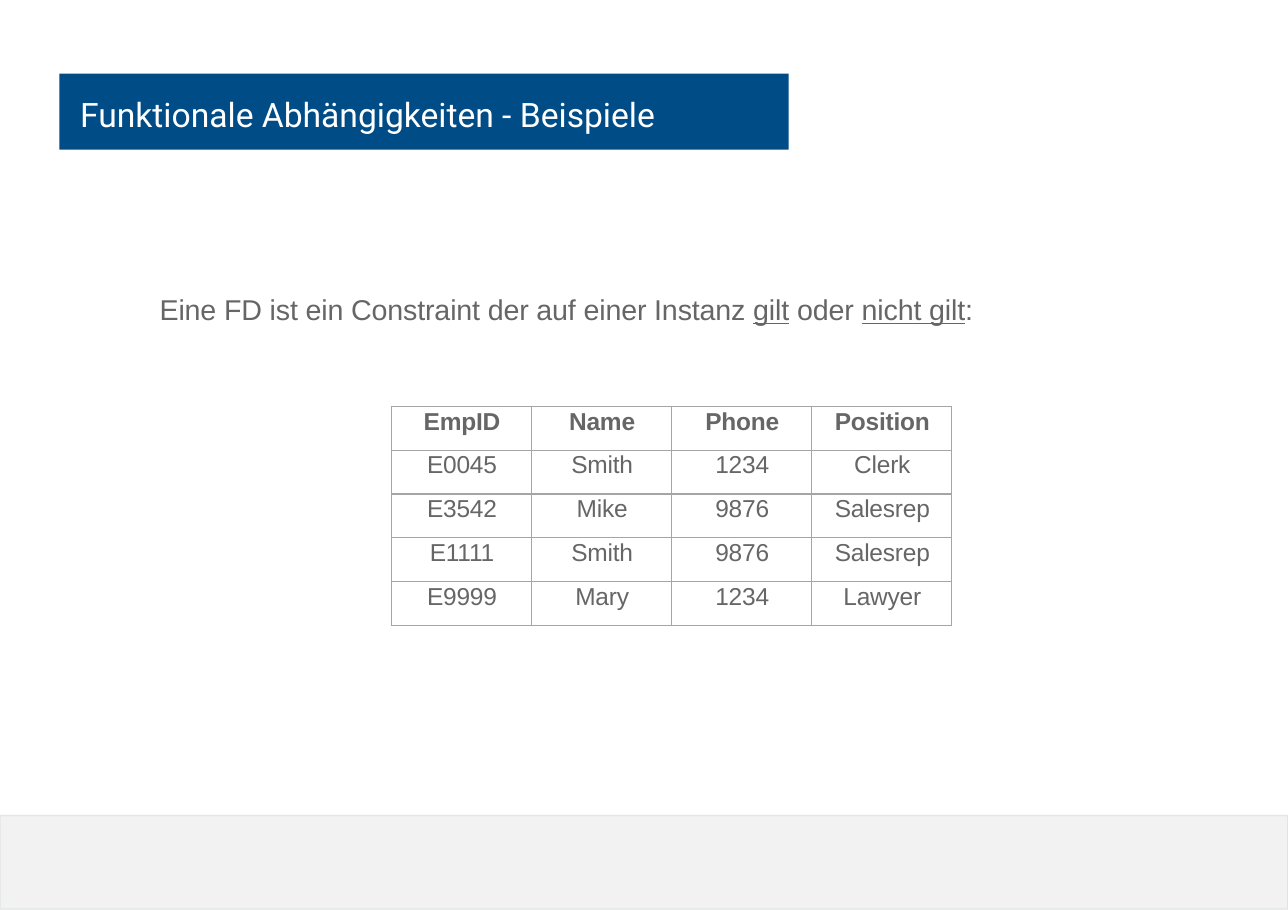
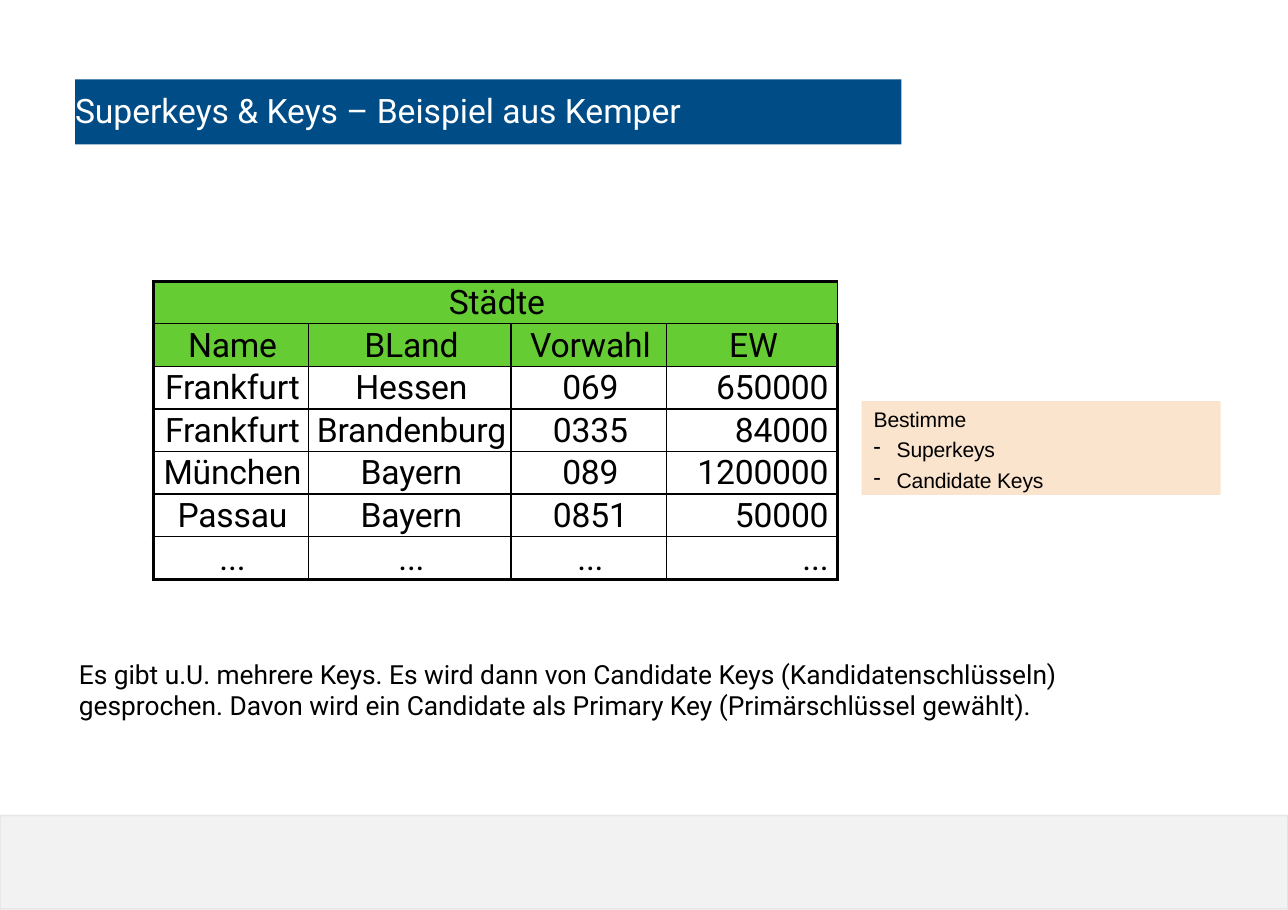
"""Two slides on functional dependencies and keys."""
from dataclasses import dataclass

from lxml import etree
from pptx import Presentation
from pptx.dml.color import RGBColor
from pptx.enum.shapes import MSO_SHAPE
from pptx.enum.text import MSO_ANCHOR, PP_ALIGN
from pptx.oxml.ns import qn
from pptx.util import Cm, Pt

RECTANGLE = MSO_SHAPE.RECTANGLE
TOP, MIDDLE = MSO_ANCHOR.TOP, MSO_ANCHOR.MIDDLE
LEFT, CENTER, RIGHT = PP_ALIGN.LEFT, PP_ALIGN.CENTER, PP_ALIGN.RIGHT


@dataclass(frozen=True)
class TextStyle:
    """Font, size, colour and tracking of a text."""
    font: str
    size: float
    color: str
    tracking: float = 0
    bold: bool = False


@dataclass(frozen=True)
class Theme:
    """Colours and text styles of the presentation."""
    width: float = 29.69
    height: float = 20.98
    title_fill: str = "004C87"
    footer_fill: str = "F2F2F2"
    footer_line: str = "889194"
    header_fill: str = "66CC33"
    task_fill: str = "FBE4CD"
    employee_border: str = "A5A5A5"
    city_border: str = "010101"
    title: TextStyle = TextStyle("Roboto", 22, "FFFFFF")
    statement: TextStyle = TextStyle("Arial", 18.7, "666666", -0.1)
    employee: TextStyle = TextStyle("Arial", 16, "666666", -0.1)
    employee_header: TextStyle = TextStyle("Arial", 16, "666666", -0.1, True)
    city: TextStyle = TextStyle("Roboto", 22, "000000", -0.1)
    task: TextStyle = TextStyle("Arial", 13.8, "000000", -0.1)
    note: TextStyle = TextStyle("Roboto", 17.2, "000000")


THEME = Theme()

EMPLOYEES = [
    ["EmpID", "Name", "Phone", "Position"],
    ["E0045", "Smith", "1234", "Clerk"],
    ["E3542", "Mike", "9876", "Salesrep"],
    ["E1111", "Smith", "9876", "Salesrep"],
    ["E9999", "Mary", "1234", "Lawyer"],
]

CITIES = [
    ["Städte", "", "", ""],
    ["Name", "BLand", "Vorwahl", "EW"],
    ["Frankfurt", "Hessen", "069", "650000"],
    ["Frankfurt", "Brandenburg", "0335", "84000"],
    ["München", "Bayern", "089", "1200000"],
    ["Passau", "Bayern", "0851", "50000"],
    ["...", "...", "...", "..."],
]


def format_runs(paragraph, style):
    """Apply a text style to all runs of a paragraph."""
    for run in paragraph.runs:
        run.font.name = style.font
        run.font.size = Pt(style.size)
        run.font.bold = style.bold
        run.font.color.rgb = RGBColor.from_string(style.color)
        if style.tracking:
            run._r.get_or_add_rPr().set("spc", str(round(style.tracking * 100)))


def set_margins(holder, margins):
    """Set left, top, right and bottom margins of a frame or cell in cm."""
    (holder.margin_left, holder.margin_top,
     holder.margin_right, holder.margin_bottom) = map(Cm, margins)


def write(frame, text, style, align=LEFT, line_spacing=None):
    """Fill a text frame and format its paragraphs."""
    frame.text = text
    for paragraph in frame.paragraphs:
        paragraph.alignment = align
        paragraph.line_spacing = line_spacing
        format_runs(paragraph, style)


def indent(paragraph, left, hanging=0, bullet=None):
    """Indent a paragraph in cm, with an optional bullet character."""
    properties = paragraph._p.get_or_add_pPr()
    properties.set("marL", str(Cm(left)))
    properties.set("indent", str(Cm(-hanging)))
    if bullet:
        etree.SubElement(properties, qn("a:buChar")).set("char", bullet)


def add_panel(slide, box, fill):
    """Add a filled rectangle without outline."""
    panel = slide.shapes.add_shape(RECTANGLE, *map(Cm, box))
    panel.shadow.inherit = False
    panel.fill.solid()
    panel.fill.fore_color.rgb = RGBColor.from_string(fill)
    panel.line.fill.background()
    panel.text_frame.word_wrap = True
    return panel


def add_text(slide, box, margins):
    """Add a wrapping text box and return its frame."""
    frame = slide.shapes.add_textbox(*map(Cm, box)).text_frame
    frame.word_wrap = True
    set_margins(frame, margins)
    return frame


def add_footer(slide):
    """Add the grey footer band with its faint outline."""
    band = add_panel(slide, (0, 18.8, THEME.width, 2.16), THEME.footer_fill)
    band.line.color.rgb = RGBColor.from_string(THEME.footer_line)
    band.line.width = Pt(1)
    color = band.line._ln.find(".//" + qn("a:srgbClr"))
    etree.SubElement(color, qn("a:alpha")).set("val", "15000")


def add_title(slide, text, box, margins):
    """Add the blue title bar."""
    frame = add_panel(slide, box, THEME.title_fill).text_frame
    frame.vertical_anchor = MIDDLE
    set_margins(frame, margins)
    write(frame, text, THEME.title, line_spacing=0.9)


def set_borders(cell, color, widths):
    """Draw left, right, top and bottom borders with widths in points."""
    properties = cell._tc.get_or_add_tcPr()
    for position, (side, width) in enumerate(zip("LRTB", widths)):
        border = etree.Element(qn(f"a:ln{side}"), w=str(Pt(width)))
        fill = etree.SubElement(border, qn("a:solidFill"))
        etree.SubElement(fill, qn("a:srgbClr")).set("val", color)
        properties.insert(position, border)


def add_grid(slide, origin, column_widths, row_height, rows):
    """Add a plain table and return it."""
    size = sum(column_widths), row_height * len(rows)
    table = slide.shapes.add_table(
        len(rows), len(column_widths), *map(Cm, origin + size)).table
    table.first_row = table.horz_banding = False
    for column, width in zip(table.columns, column_widths):
        column.width = Cm(width)
    for row in table.rows:
        row.height = Cm(row_height)
    return table


def fill_cell(cell, text, style, align, margins, fill=None):
    """Write one table cell and set its background."""
    set_margins(cell, margins)
    cell.vertical_anchor = TOP
    write(cell.text_frame, text, style, align)
    if fill:
        cell.fill.solid()
        cell.fill.fore_color.rgb = RGBColor.from_string(fill)
    else:
        cell.fill.background()


def add_employee_table(slide):
    """Add the employee instance with a bold header."""
    table = add_grid(slide, (9.02, 9.37), (3.23,) * 4, 1.01, EMPLOYEES)
    for r, values in enumerate(EMPLOYEES):
        style = THEME.employee if r else THEME.employee_header
        for c, value in enumerate(values):
            cell = table.cell(r, c)
            fill_cell(cell, value, style, CENTER, (0.03, 0.04, 0, 0))
            set_borders(cell, THEME.employee_border, (1,) * 4)


def add_city_table(slide):
    """Add the city table with a green header and a thick frame."""
    widths = 3.58, 4.67, 3.58, 3.94
    table = add_grid(slide, (3.53, 6.48), widths, 0.97, CITIES)
    table.cell(0, 0).merge(table.cell(0, len(widths) - 1))
    last_row, last_column = len(CITIES) - 1, len(widths) - 1
    for r, values in enumerate(CITIES):
        is_header = r < 2
        for c, value in enumerate(values):
            is_number = c == last_column and not is_header
            cell = table.cell(r, c)
            fill_cell(cell, value, THEME.city,
                      RIGHT if is_number else CENTER,
                      (0, 0.05, 0.2, 0) if is_number else (0.08, 0.05, 0, 0),
                      THEME.header_fill if is_header else None)
            outer = c == 0, c == last_column, r == 0, r == last_row
            set_borders(cell, THEME.city_border,
                        [2.25 if edge else 1 for edge in outer])


def add_task(slide):
    """Add the task panel with its dashed list."""
    frame = add_panel(slide, (19.86, 9.25, 8.28, 2.16), THEME.task_fill).text_frame
    frame.vertical_anchor = TOP
    set_margins(frame, (0, 0.13, 0, 0))
    write(frame, "Bestimme\nSuperkeys\nCandidate Keys", THEME.task,
          line_spacing=Pt(16.3))
    heading, *items = frame.paragraphs
    indent(heading, 0.28)
    for item in items:
        item.space_before = Pt(3.6)
        indent(item, 0.81, 0.53, "-")


def add_statement(slide):
    """Add the sentence with its underlined outcomes."""
    frame = add_text(slide, (3.63, 6.68, 19.58, 0.84), (0.05, 0.05, 0, 0))
    sentence = frame.paragraphs[0]
    parts = ["Eine FD ist ein Constraint der auf einer Instanz ",
             "gilt", " oder ", "nicht gilt", ":"]
    for position, part in enumerate(parts):
        run = sentence.add_run()
        run.text = part
        run.font.underline = position % 2 == 1
    format_runs(sentence, THEME.statement)


def build_dependencies(slide):
    """Build the slide on functional dependencies."""
    add_footer(slide)
    add_statement(slide)
    add_employee_table(slide)
    add_title(slide, "Funktionale Abhängigkeiten - Beispiele",
              (1.37, 1.7, 16.81, 1.75), (0.48, 0.46, 0.25, 0.25))


def build_keys(slide):
    """Build the slide on superkeys and keys."""
    add_footer(slide)
    add_city_table(slide)
    add_task(slide)
    note = add_text(slide, (1.57, 15.04, 24.51, 1.78), (0.25, 0.13, 0.25, 0.13))
    write(note, "Es gibt u.U. mehrere Keys. Es wird dann von Candidate Keys "
          "(Kandidatenschlüsseln) gesprochen. Davon wird ein Candidate als "
          "Primary Key (Primärschlüssel gewählt).", THEME.note)
    add_title(slide, "Superkeys & Keys – Beispiel aus Kemper",
              (1.73, 1.83, 19.05, 1.5), (0, 0.05, 0, 0))


def main():
    """Create and save the presentation."""
    presentation = Presentation()
    presentation.slide_width = Cm(THEME.width)
    presentation.slide_height = Cm(THEME.height)
    blank = presentation.slide_layouts[6]
    for build in (build_dependencies, build_keys):
        build(presentation.slides.add_slide(blank))
    presentation.save("out.pptx")


if __name__ == "__main__":
    main()
